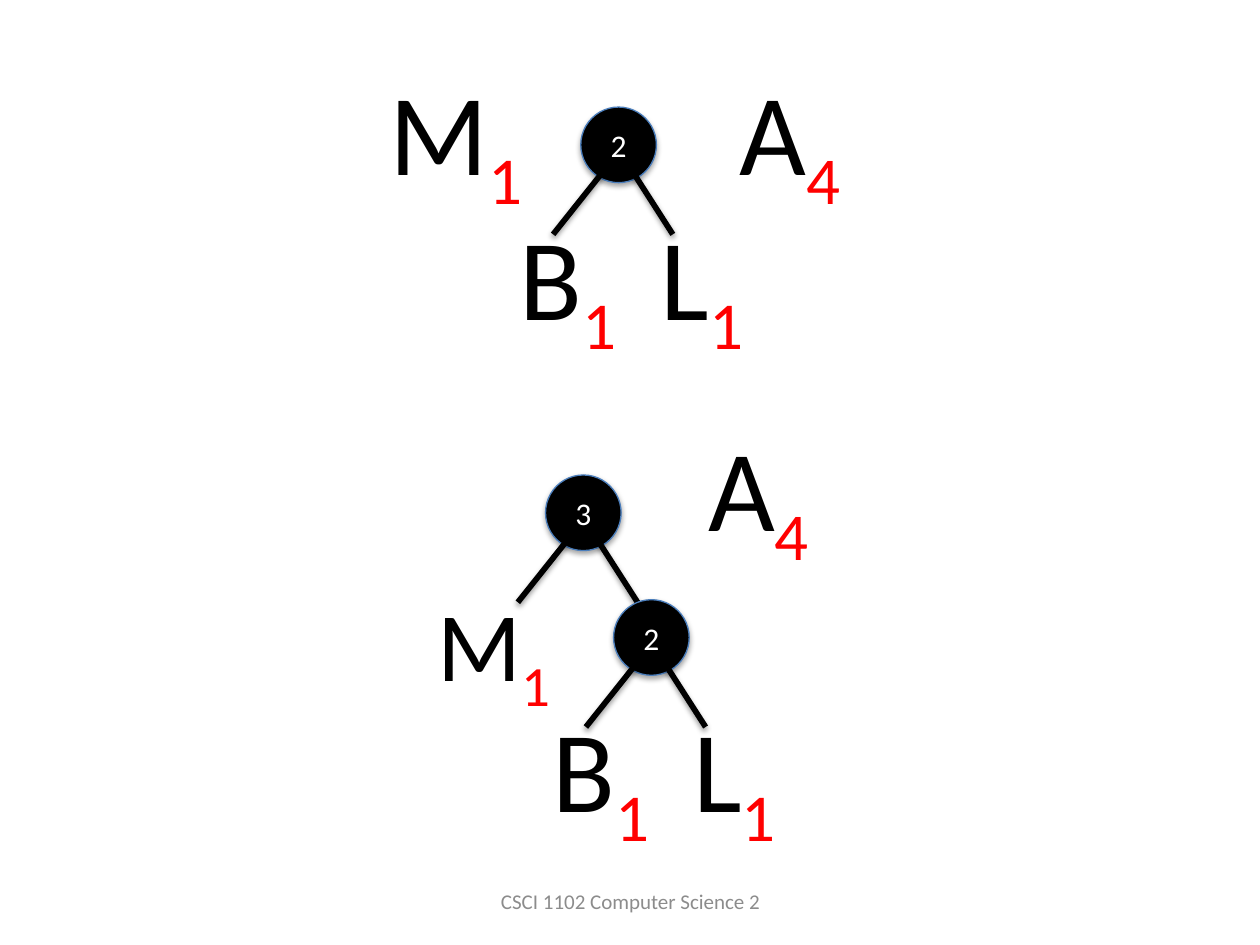
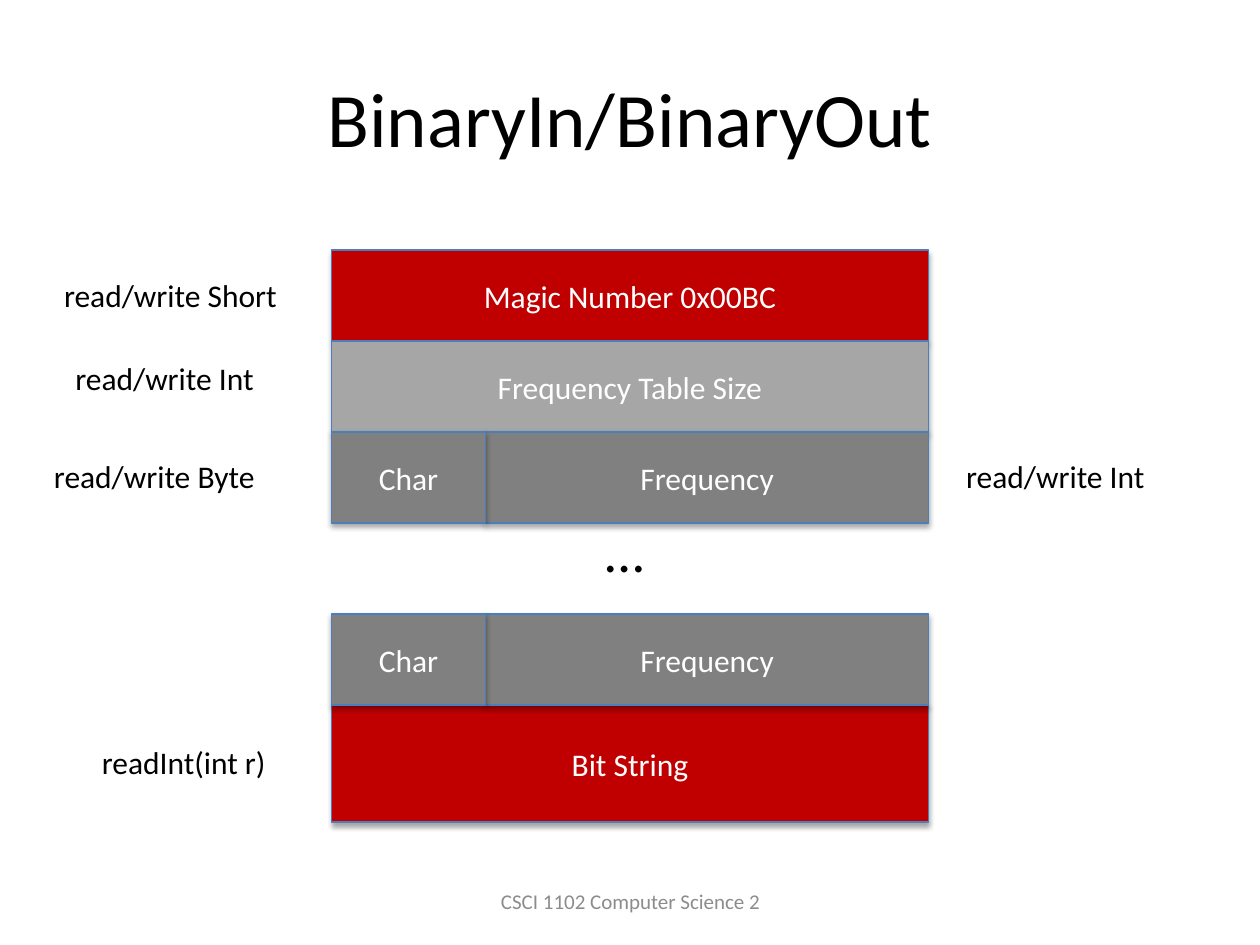
"""Build two slides: merging Huffman trees, and the layout of a compressed file."""
from dataclasses import dataclass

from lxml.etree import SubElement
from pptx import Presentation
from pptx.dml.color import RGBColor
from pptx.enum.shapes import MSO_CONNECTOR, MSO_SHAPE
from pptx.enum.text import MSO_ANCHOR, PP_ALIGN
from pptx.oxml.ns import qn
from pptx.util import Emu, Inches, Pt

WIDTH, HEIGHT = Inches(10), Inches(7.5)
COLS, ROWS = 100, 75
FONT = "Calibri"
BLACK, WHITE, RED = "000000", "FFFFFF", "FF0000"
OUTLINE, FOOTER_GRAY = "4B7EBC", "8C8C8C"
CRIMSON, LIGHT_GRAY, DARK_GRAY = "C00000", "A6A6A6", "808080"
FOOTER = "CSCI 1102 Computer Science 2"
NODE_SIZE = 6
BLOCK_LEFT, BLOCK_TOP, BLOCK_WIDTH, BLOCK_ROW = 26.3, 19.85, 47.4, 7.22
CHAR_WIDTH = 12.25


@dataclass(frozen=True)
class Box:
    """A rectangle in grid columns and rows."""
    left: float
    top: float
    width: float
    height: float

    def emu(self) -> tuple:
        return col(self.left), row(self.top), col(self.width), row(self.height)


@dataclass(frozen=True)
class Leaf:
    """A letter with its frequency, centred on a grid point."""
    letter: str
    count: str
    x: float
    y: float
    size: float = 66


@dataclass(frozen=True)
class Node:
    """An inner tree node, centred on a grid point."""
    count: str
    x: float
    y: float


@dataclass(frozen=True)
class Block:
    """A part of the file, placed by its row in the stack."""
    text: str
    row: int
    fill: str
    indent: float = 0
    width: float = BLOCK_WIDTH
    height: float = BLOCK_ROW


@dataclass(frozen=True)
class Label:
    """A left-aligned caption."""
    text: str
    box: Box
    size: float = 18


EDGES = (((-0.5, 1.2), (-5.2, 7.1)), ((0.9, 1.8), (4.3, 7.1)))

MERGE_NODES = (Node("2", 49.1, 11.5), Node("3", 46.3, 40.7), Node("2", 51.7, 50.6))
PAIR_PARENTS = (MERGE_NODES[0], MERGE_NODES[2])
LEAVES = (
    Leaf("M", "1", 36.2, 11.05),
    Leaf("A", "4", 62.7, 11.05),
    Leaf("A", "4", 60.2, 39.25),
    Leaf("M", "1", 39.2, 51.65, 56.1),
    *(Leaf(letter, "1", n.x + dx, n.y + 11)
      for n in PAIR_PARENTS for letter, dx in (("B", -4), ("L", 6.6))),
)

BLOCKS = (
    Block("Magic Number 0x00BC", 0, CRIMSON),
    Block("Frequency Table Size", 1, LIGHT_GRAY),
    Block("Bit String", 5, CRIMSON, height=9.3),
    *(Block(text, i, DARK_GRAY, indent, width)
      for i in (2, 4)
      for text, indent, width in (
          ("Frequency", CHAR_WIDTH, BLOCK_WIDTH - CHAR_WIDTH),
          ("Char", 0, CHAR_WIDTH))),
)
LABELS = (
    Label("…", Box(47.1, 40.5, 5.1, 6.4), 32),
    Label("read/write Short", Box(4.1, 21.4, 19.1, 4)),
    Label("read/write Int", Box(5, 28, 16.3, 4)),
    Label("read/write Byte", Box(3.3, 35.8, 18.1, 4)),
    Label("readInt(int r)", Box(7.1, 58.5, 15.2, 4)),
    Label("read/write Int", Box(75.7, 35.8, 16.3, 4)),
)


def col(n: float) -> Emu:
    """Turn grid columns into a length."""
    return Emu(round(WIDTH * n / COLS))


def row(n: float) -> Emu:
    """Turn grid rows into a length."""
    return Emu(round(HEIGHT * n / ROWS))


def rgb(value: str) -> RGBColor:
    """Turn a hex string into a colour."""
    return RGBColor.from_string(value)


def write(tf, text: str, size: float, color: str, align=PP_ALIGN.CENTER,
          anchor=MSO_ANCHOR.MIDDLE):
    """Write one formatted paragraph and return it."""
    tf.vertical_anchor = anchor
    p = tf.paragraphs[0]
    p.alignment = align
    p.add_run().text = text
    p.font.name, p.font.size = FONT, Pt(size)
    p.font.color.rgb = rgb(color)
    return p


def add_shadow(s, alpha: int, distance: int) -> None:
    """Give a shape or connector a soft shadow below it."""
    effects = SubElement(s._element.spPr, qn("a:effectLst"))
    shadow = SubElement(effects, qn("a:outerShdw"), blurRad="40000",
                        dist=str(distance), dir="5400000", rotWithShape="0")
    color = SubElement(shadow, qn("a:srgbClr"), val=BLACK)
    SubElement(color, qn("a:alpha"), val=str(alpha * 1000))


def add_figure(slide, kind, box: Box, fill: str, text: str) -> None:
    """Draw a filled, outlined shape with white text."""
    s = slide.shapes.add_shape(kind, *box.emu())
    s.fill.solid()
    s.fill.fore_color.rgb = rgb(fill)
    s.line.color.rgb = rgb(OUTLINE)
    s.line.width = Pt(0.75)
    add_shadow(s, 35, 23000)
    write(s.text_frame, text, 18, WHITE)


def add_node(slide, node: Node) -> None:
    """Draw a node and the edges to its two children."""
    half = NODE_SIZE / 2
    box = Box(node.x - half, node.y - half, NODE_SIZE, NODE_SIZE)
    add_figure(slide, MSO_SHAPE.OVAL, box, BLACK, node.count)
    for (x1, y1), (x2, y2) in EDGES:
        s = slide.shapes.add_connector(
            MSO_CONNECTOR.STRAIGHT, col(node.x + x1), row(node.y + y1),
            col(node.x + x2), row(node.y + y2))
        s.line.color.rgb = rgb(BLACK)
        s.line.width = Pt(3.25)
        add_shadow(s, 38, 20000)


def add_leaf(slide, leaf: Leaf) -> None:
    """Write a letter with its frequency as a red subscript."""
    box = Box(leaf.x - 7, leaf.y - 6.25, 14, 12.5)
    tf = slide.shapes.add_textbox(*box.emu()).text_frame
    p = write(tf, leaf.letter, leaf.size, BLACK)
    tf.word_wrap = True
    r = p.add_run()
    r.text = leaf.count
    r.font.color.rgb = rgb(RED)
    r.font._element.set("baseline", "-25000")


def add_block(slide, block: Block) -> None:
    """Draw one part of the file."""
    box = Box(BLOCK_LEFT + block.indent, BLOCK_TOP + block.row * BLOCK_ROW,
              block.width, block.height)
    add_figure(slide, MSO_SHAPE.RECTANGLE, box, block.fill, block.text)


def add_label(slide, label: Label) -> None:
    """Write a caption that does not wrap."""
    tf = slide.shapes.add_textbox(*label.box.emu()).text_frame
    tf.word_wrap = False
    write(tf, label.text, label.size, BLACK, PP_ALIGN.LEFT, MSO_ANCHOR.TOP)


def add_footer(slide) -> None:
    """Write the course name at the foot of the slide."""
    tf = slide.shapes.add_textbox(*Box(34.2, 69.5, 31.7, 4).emu()).text_frame
    tf.word_wrap = True
    write(tf, FOOTER, 12, FOOTER_GRAY)


def build_trees(prs) -> None:
    """Build the slide with the tree before and after a merge."""
    slide = prs.slides.add_slide(prs.slide_layouts[6])
    add_footer(slide)
    for node in MERGE_NODES:
        add_node(slide, node)
    for leaf in LEAVES:
        add_leaf(slide, leaf)


def build_file_layout(prs) -> None:
    """Build the slide with the parts of the file."""
    slide = prs.slides.add_slide(prs.slide_layouts[5])
    title = slide.shapes.title
    title.left, title.top, title.width, title.height = Box(5, 3, 90, 12.5).emu()
    write(title.text_frame, "BinaryIn/BinaryOut", 44, BLACK)
    add_footer(slide)
    for block in BLOCKS:
        add_block(slide, block)
    for label in LABELS:
        add_label(slide, label)


def main() -> None:
    """Build and save the presentation."""
    prs = Presentation()
    prs.slide_width, prs.slide_height = WIDTH, HEIGHT
    build_trees(prs)
    build_file_layout(prs)
    prs.save("out.pptx")


if __name__ == "__main__":
    main()
